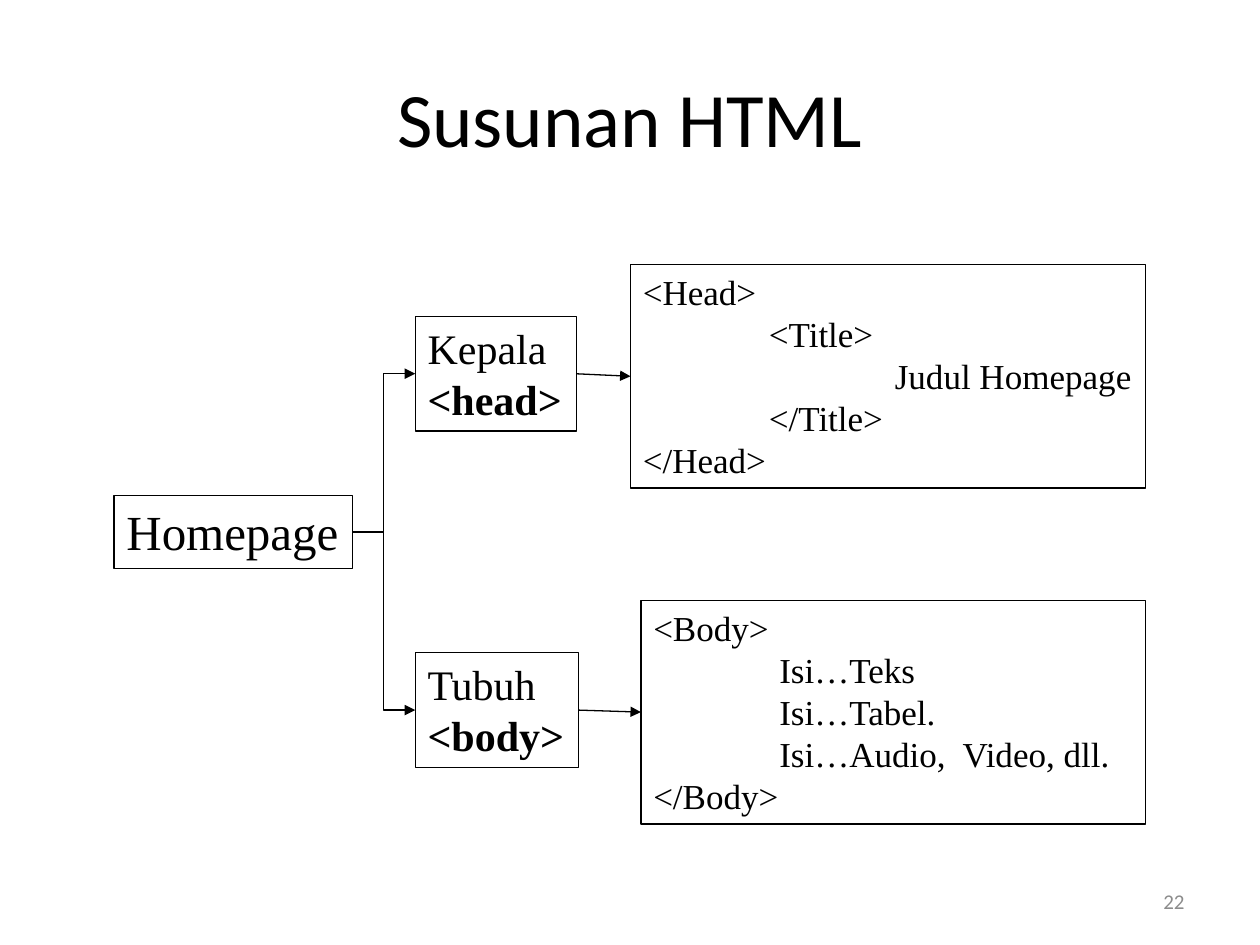
from lxml import etree
from pptx import Presentation
from pptx.dml.color import RGBColor
from pptx.enum import shapes, text
from pptx.oxml import ns
from pptx.util import Cm, Pt

BLACK = RGBColor(0x00, 0x00, 0x00)
GRAY = RGBColor(0x8C, 0x8C, 0x8C)
LEFT, RIGHT = 1, 3  # connection sites of a rectangle
TAB = Cm(2.54)


def write(tf, lines, size, font="Times New Roman", color=BLACK,
          align=text.PP_ALIGN.LEFT, anchor=text.MSO_ANCHOR.TOP, bold_last=False):
    tf.vertical_anchor = anchor
    for i, line in enumerate(lines):
        p = tf.paragraphs[0] if i == 0 else tf.add_paragraph()
        p.alignment = align
        p._p.get_or_add_pPr().set("defTabSz", str(int(TAB)))
        r = p.add_run()
        r.text = line
        r.font.name, r.font.size = font, Pt(size)
        r.font.color.rgb = color
        if bold_last and i == len(lines) - 1:
            r.font.bold = True


prs = Presentation()
prs.slide_width, prs.slide_height = Cm(25.4), Cm(19.05)
slide = prs.slides.add_slide(prs.slide_layouts[5])

# Title
sp = slide.shapes.title
sp.left, sp.top, sp.width, sp.height = Cm(1.27), Cm(0.76), Cm(22.86), Cm(3.18)
write(sp.text_frame, ["Susunan HTML"], 44, font="Calibri",
      align=text.PP_ALIGN.CENTER, anchor=text.MSO_ANCHOR.MIDDLE)

# Slide number
sp = slide.shapes.add_textbox(Cm(18.2), Cm(17.66), Cm(5.93), Cm(1.01))
sp.text_frame.word_wrap = True
write(sp.text_frame, ["22"], 12, font="Calibri", color=GRAY,
      align=text.PP_ALIGN.RIGHT, anchor=text.MSO_ANCHOR.MIDDLE)

# Boxes: key, left, top, width, height, size, wrap, lines
boxes = {}
for key, x, y, w, h, size, wrap, lines in [
    ("home", 2.3, 9.99, 4.81, 1.47, 28, False, ["Homepage"]),
    ("head", 8.37, 6.38, 3.25, 2.31, 24, False, ["Kepala", "<head>"]),
    ("body", 8.37, 13.16, 3.3, 2.31, 24, False, ["Tubuh", "<body>"]),
    ("head code", 12.71, 5.33, 10.39, 4.51, 20, False,
     ["<Head>", "\t<Title>", "\t\tJudul Homepage", "\t</Title>", "</Head>"]),
    ("body code", 12.92, 12.1, 10.17, 4.51, 20, True,
     ["<Body>", "\tIsi…Teks", "\tIsi…Tabel.", "\tIsi…Audio,  Video, dll.", "</Body>"]),
]:
    sp = slide.shapes.add_shape(shapes.MSO_SHAPE.RECTANGLE, Cm(x), Cm(y), Cm(w), Cm(h))
    sp.shadow.inherit = False
    sp.fill.background()
    sp.line.color.rgb, sp.line.width = BLACK, Pt(0.75)
    tf = sp.text_frame
    tf.word_wrap = wrap
    tf.auto_size = text.MSO_AUTO_SIZE.SHAPE_TO_FIT_TEXT
    write(tf, lines, size, bold_last=size == 24)
    boxes[key] = sp

# Arrows from the right side of one box to the left side of the next
ELBOW, STRAIGHT = shapes.MSO_CONNECTOR.ELBOW, shapes.MSO_CONNECTOR.STRAIGHT
for kind, start, end in [
    (ELBOW, "home", "body"),
    (ELBOW, "home", "head"),
    (STRAIGHT, "head", "head code"),
    (STRAIGHT, "body", "body code"),
]:
    line = slide.shapes.add_connector(kind, 0, 0, 0, 0)
    line.begin_connect(boxes[start], RIGHT)
    line.end_connect(boxes[end], LEFT)
    line.line.color.rgb, line.line.width = BLACK, Pt(0.75)
    etree.SubElement(line.line._get_or_add_ln(), ns.qn("a:tailEnd"), type="triangle")
    etree.SubElement(line._element.spPr, ns.qn("a:effectLst"))

prs.save("out.pptx")
